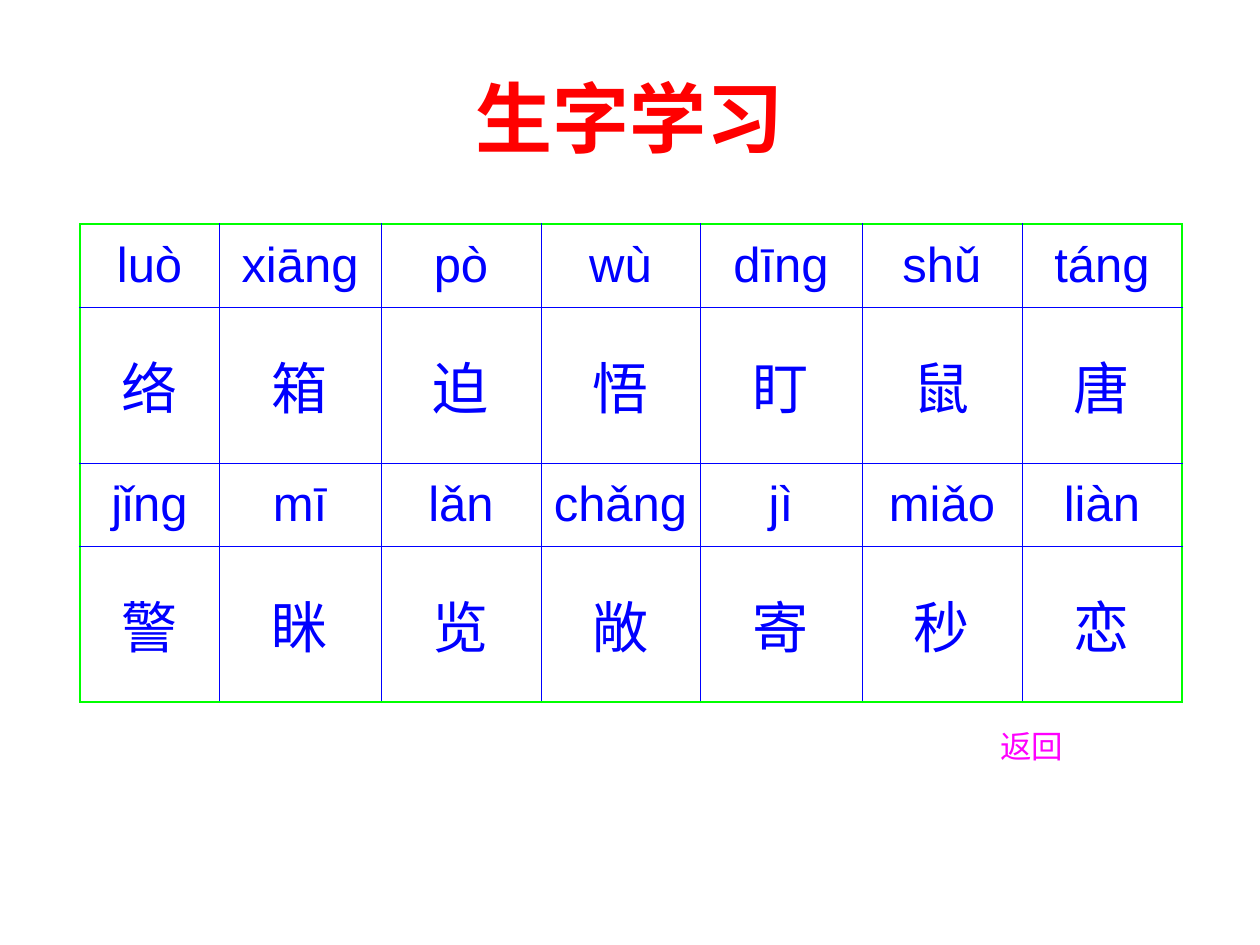
from lxml.etree import SubElement
from pptx import Presentation
from pptx.dml.color import RGBColor
from pptx.enum.text import MSO_ANCHOR as Anchor, PP_ALIGN as Align
from pptx.oxml.ns import qn
from pptx.util import Emu, Pt

PX = 914400 / 126
BLUE, GREEN, RED, MAGENTA = "0000FF", "00FF00", "FF0000", "FF00FF"
CJK = "Noto Sans CJK SC"

# Pinyin rows alternate with character rows
WORDS = [
    ["luò", "xiāng", "pò", "wù", "dīng", "shǔ", "táng"],
    ["络", "箱", "迫", "悟", "盯", "鼠", "唐"],
    ["jǐng", "mī", "lǎn", "chǎng", "jì", "miǎo", "liàn"],
    ["警", "眯", "览", "敞", "寄", "秒", "恋"],
]
COLUMN_WIDTHS = [139, 162, 160, 159, 162, 160, 160]
ROW_HEIGHTS = [83, 156, 83, 156]
TEXT_SIZES = [28, 32, 28, 32]


def px(length):
    return Emu(round(length * PX))


def color(value):
    return RGBColor.from_string(value)


def write(frame, text, *, size, fill, font="Arial", bold=False, align=Align.CENTER):
    paragraph = frame.paragraphs[0]
    paragraph.alignment = align
    run = paragraph.add_run()
    run.text = text
    run.font.size = Pt(size)
    run.font.bold = bold
    run.font.name = font
    run.font.color.rgb = color(fill)
    SubElement(run.font._element, qn("a:ea"), typeface=CJK)


def add_text(slide, box, text, *, wrap=True, anchor=Anchor.TOP, **style):
    frame = slide.shapes.add_textbox(*map(px, box)).text_frame
    frame.word_wrap = wrap
    frame.vertical_anchor = anchor
    write(frame, text, **style)


def add_border(cell, side, line_color, points):
    line = SubElement(cell._tc.get_or_add_tcPr(), qn(f"a:{side}"), w=str(Pt(points)))
    fill = SubElement(line, qn("a:solidFill"))
    SubElement(fill, qn("a:srgbClr"), val=line_color)


def add_word_table(slide):
    rows, columns = len(WORDS), len(COLUMN_WIDTHS)
    size = sum(COLUMN_WIDTHS), sum(ROW_HEIGHTS)
    table = slide.shapes.add_table(rows, columns, px(80), px(224), *map(px, size)).table
    table.first_row = table.horz_banding = False
    for column, width in zip(table.columns, COLUMN_WIDTHS):
        column.width = px(width)
    for r, words in enumerate(WORDS):
        table.rows[r].height = px(ROW_HEIGHTS[r])
        for c, word in enumerate(words):
            cell = table.cell(r, c)
            cell.vertical_anchor = Anchor.MIDDLE
            write(cell.text_frame, word, size=TEXT_SIZES[r], fill=BLUE)
            # Green frame around the table, thin blue lines inside
            outer = {"lnL": c == 0, "lnR": c == columns - 1,
                     "lnT": r == 0, "lnB": r == rows - 1}
            for side, on_frame in outer.items():
                add_border(cell, side, *((GREEN, 1.08) if on_frame else (BLUE, 0.45)))
            cell.fill.background()


def main():
    deck = Presentation()
    deck.slide_width, deck.slide_height = px(1260), px(945)
    slide = deck.slides.add_slide(deck.slide_layouts[6])

    # Heading
    add_text(slide, (63, 38, 1134, 158), "生字学习", size=44, fill=RED,
             bold=True, anchor=Anchor.MIDDLE)
    add_word_table(slide)
    # Return label
    add_text(slide, (988, 721, 126, 89), "返回", size=18, fill=MAGENTA,
             font=CJK, wrap=False, align=Align.LEFT)

    deck.save("out.pptx")


if __name__ == "__main__":
    main()
